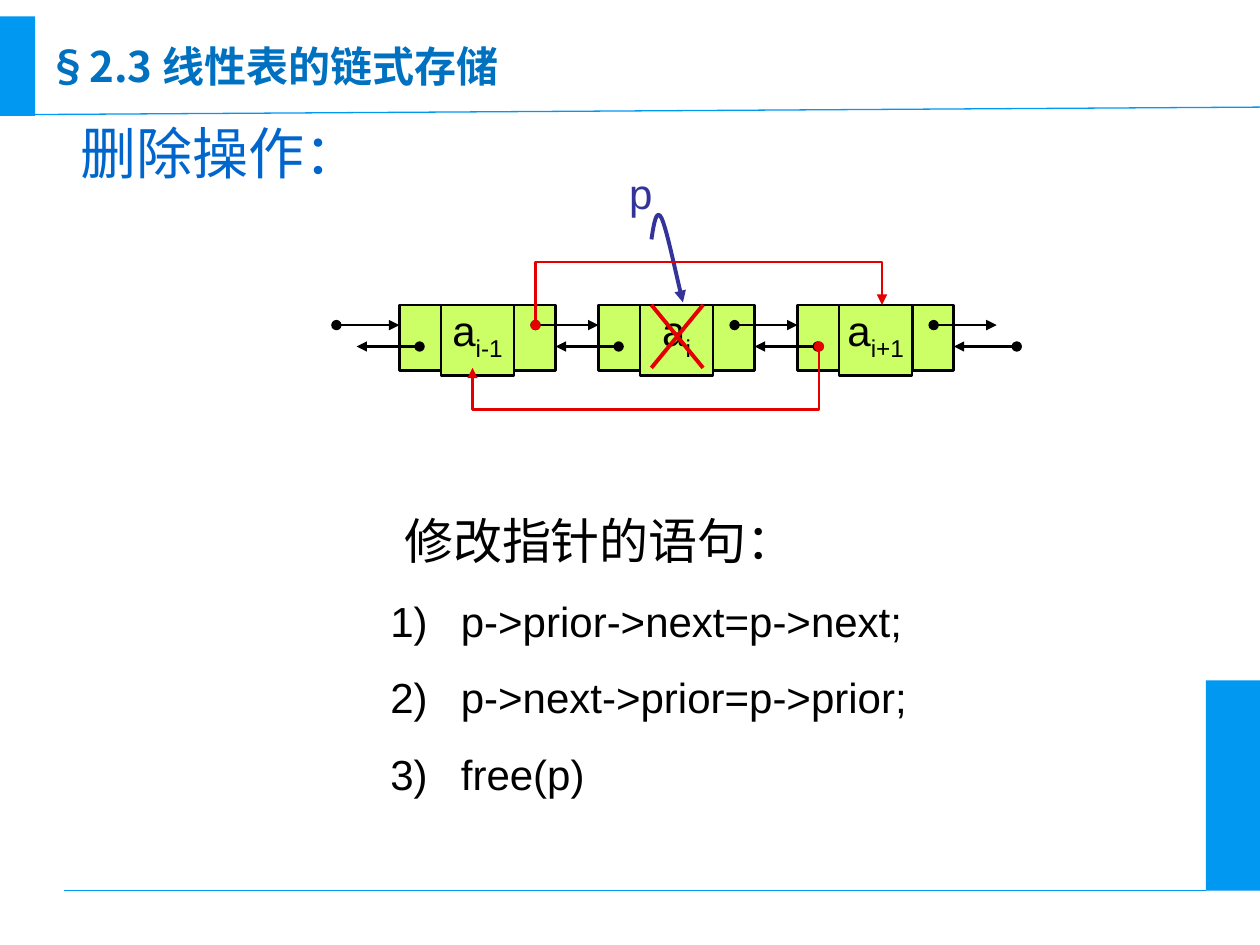
from dataclasses import dataclass
from pptx import Presentation
from pptx.dml.color import RGBColor
from pptx.enum.shapes import MSO_CONNECTOR, MSO_SHAPE
from pptx.enum.text import MSO_ANCHOR, MSO_AUTO_SIZE, PP_ALIGN
from pptx.oxml.ns import qn
from pptx.util import Inches, Pt
from lxml.etree import SubElement

Point = tuple[float, float]


@dataclass(frozen=True)
class Theme:
    face: str = "Arial"
    bold: str = "Noto Sans CJK SC"
    blue: str = "0098F0"
    head: str = "0070C0"
    topic: str = "0066CC"
    cell: str = "CCFF66"
    ink: str = "000000"
    red: str = "E40000"
    navy: str = "333399"
    big: float = 32
    mid: float = 28
    text: float = 24
    hair: float = 0.75
    thin: float = 1.5
    thick: float = 2.25


@dataclass(frozen=True)
class Box:
    left: float
    top: float
    width: float
    height: float

    def place(self) -> list:
        return [Inches(v) for v in (self.left, self.top, self.width, self.height)]


@dataclass(frozen=True)
class Link:
    start: Point
    end: Point
    color: str
    width: float
    head: str = ""
    tail: str = ""


@dataclass(frozen=True)
class Trail:
    points: list[Point]
    color: str
    width: float
    head: str = ""
    curve: bool = False


THEME = Theme()
PITCH = 1.58


def style(para, size: float, color: str, face: str = THEME.face, bold: bool = False) -> None:
    font = para.font
    font.name, font.size, font.bold = face, Pt(size), bold
    font.color.rgb = RGBColor.from_string(color)


def fit(frame, pads: tuple, wrap: bool = True) -> None:
    frame.auto_size = MSO_AUTO_SIZE.NONE
    frame.word_wrap = wrap
    frame.vertical_anchor = MSO_ANCHOR.TOP
    frame.margin_left, frame.margin_top, frame.margin_right, frame.margin_bottom = map(Inches, pads)


def stroke(shape, color: str, width: float, head: str = "", tail: str = "") -> None:
    shape.line.color.rgb = RGBColor.from_string(color)
    shape.line.width = Pt(width)
    edge = shape.line._get_or_add_ln()
    for tag, kind in (("a:headEnd", head), ("a:tailEnd", tail)):
        if kind:
            SubElement(edge, qn(tag), type=kind)


def draw_rect(shapes, box: Box, fill: str, edge: str = ""):
    rect = shapes.add_shape(MSO_SHAPE.RECTANGLE, *box.place())
    rect.shadow.inherit = False
    rect.fill.solid()
    rect.fill.fore_color.rgb = RGBColor.from_string(fill)
    if edge:
        stroke(rect, edge, THEME.thin)
    else:
        rect.line.fill.background()
    return rect


def draw_link(shapes, link: Link) -> None:
    ends = [Inches(v) for v in link.start + link.end]
    line = shapes.add_connector(MSO_CONNECTOR.STRAIGHT, *ends)
    stroke(line, link.color, link.width, link.head, link.tail)
    SubElement(line._element.spPr, qn("a:effectLst"))


def draw_trail(shapes, trail: Trail) -> None:
    first, *rest = [(Inches(x), Inches(y)) for x, y in trail.points]
    pen = shapes.build_freeform(*first)
    pen.add_line_segments(rest, close=False)
    shape = pen.convert_to_shape()
    shape.shadow.inherit = False
    shape.fill.background()
    stroke(shape, trail.color, trail.width, trail.head, "triangle")
    if trail.curve:
        track = next(shape._element.iter(qn("a:path")))
        steps = track.findall(qn("a:lnTo"))
        for i in range(0, len(steps), 3):
            bend = SubElement(track, qn("a:cubicBezTo"))
            for step in steps[i:i + 3]:
                bend.append(step[0])
                track.remove(step)


def draw_node(shapes, left: float, mark: str) -> None:
    group = shapes.add_group_shape().shapes
    core = draw_rect(group, Box(left + 0.33, 2.42, 0.58, 0.56), THEME.cell, THEME.ink)
    for x in (left + 0.91, left):
        draw_rect(group, Box(x, 2.42, 0.33, 0.52), THEME.cell, THEME.ink)
    fit(core.text_frame, (0, 0, 0, 0.1))
    para = core.text_frame.paragraphs[0]
    para.alignment = PP_ALIGN.CENTER
    para.add_run().text = "a"
    low = para.add_run()
    low.text = mark
    low._r.get_or_add_rPr().set("baseline", "-25000")
    style(para, THEME.text, THEME.ink)


def draw_label(shapes, box: Box, text: str, size: float, color: str, pads: tuple) -> None:
    frame = shapes.add_textbox(*box.place()).text_frame
    fit(frame, pads)
    para = frame.paragraphs[0]
    para.text, para.alignment = text, PP_ALIGN.CENTER
    style(para, size, color)


def draw_steps(shapes, box: Box, lead: str, steps: list[str], pads: tuple) -> None:
    frame = shapes.add_textbox(*box.place()).text_frame
    fit(frame, pads)
    para = frame.paragraphs[0]
    para.text = lead
    para._p.get_or_add_pPr().set("marL", str(Inches(0.11)))
    style(para, THEME.mid, THEME.ink)
    for step in steps:
        para = frame.add_paragraph()
        para.text, para.space_before = step, Pt(15)
        props = para._p.get_or_add_pPr()
        props.set("marL", str(Inches(0.56)))
        props.set("indent", str(Inches(-0.56)))
        SubElement(props, qn("a:buFont"), typeface=THEME.face)
        SubElement(props, qn("a:buAutoNum"), type="arabicParenR")
        style(para, THEME.text, THEME.ink)


def draw_title(title, box: Box, text: str, pads: tuple) -> None:
    title.left, title.top, title.width, title.height = box.place()
    fit(title.text_frame, pads, wrap=False)
    para = title.text_frame.paragraphs[0]
    para.text, para.alignment = text, PP_ALIGN.CENTER
    style(para, THEME.text, THEME.head, THEME.bold, True)


def main() -> None:
    """Build the slide on deleting a node from a doubly linked list."""
    deck = Presentation()
    deck.slide_width, deck.slide_height = Inches(10), Inches(7.5)
    slide = deck.slides.add_slide(deck.slide_layouts[5])
    shapes = slide.shapes
    pads = (0.1, 0.05, 0.1, 0.05)
    for box in (Box(9.57, 5.4, 0.43, 1.67), Box(0, 0.13, 0.28, 0.79)):
        draw_rect(shapes, box, THEME.blue)
    for start, end in (((0.14, 0.91), (10, 0.85)), ((0.51, 7.07), (9.57, 7.07))):
        draw_link(shapes, Link(start, end, THEME.blue, THEME.hair))
    draw_title(shapes.title, Box(0.19, 0.27, 3.95, 0.5), "§2.3 线性表的链式存储", pads)
    draw_label(shapes, Box(0.42, 0.89, 2.67, 0.64), "删除操作：", THEME.big, THEME.topic, pads)

    for i, mark in enumerate(("i-1", "i", "i+1")):
        draw_node(shapes, 3.17 + PITCH * i, mark)
    for x, y, run in ((2.67, 2.58, 0.5), (3.33, 2.75, -0.5)):
        for i in range(4):
            left = x + PITCH * i
            draw_link(shapes, Link((left, y), (left + run, y), THEME.ink, THEME.thin, "oval", "triangle"))

    hook = [(5.17, 1.9), (5.19, 1.77), (5.21, 1.65), (5.25, 1.73), (5.29, 1.82), (5.35, 2.11), (5.42, 2.4)]
    draw_trail(shapes, Trail(hook, THEME.navy, THEME.thick, curve=True))
    draw_label(shapes, Box(4.92, 1.33, 0.33, 0.4), "p", THEME.text, THEME.navy, (0, 0, 0, 0))
    for top, base in ((2.42, 2.92), (2.92, 2.42)):
        draw_link(shapes, Link((5.17, top), (5.58, base), THEME.red, THEME.thick))
    for points in (
        [(4.25, 2.58), (4.25, 2.08), (7, 2.08), (7, 2.42)],
        [(6.5, 2.75), (6.5, 3.25), (3.75, 3.25), (3.75, 2.92)],
    ):
        draw_trail(shapes, Trail(points, THEME.red, THEME.thin, "oval"))

    steps = ["p->prior->next=p->next;", "p->next->prior=p->prior;", "free(p)"]
    draw_steps(shapes, Box(3, 4, 5.33, 2.39), "修改指针的语句：", steps, pads)
    deck.save("out.pptx")


if __name__ == "__main__":
    main()
